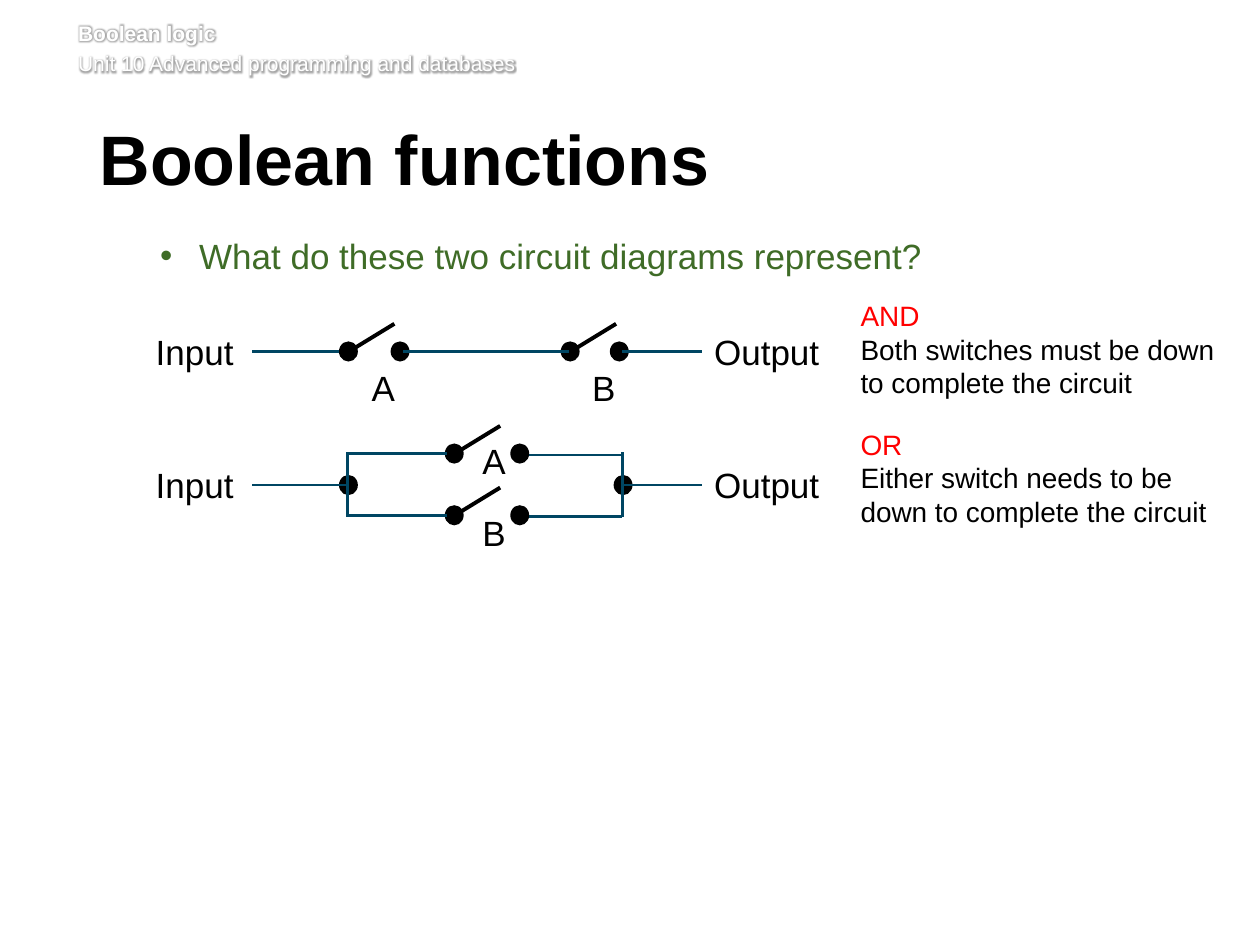
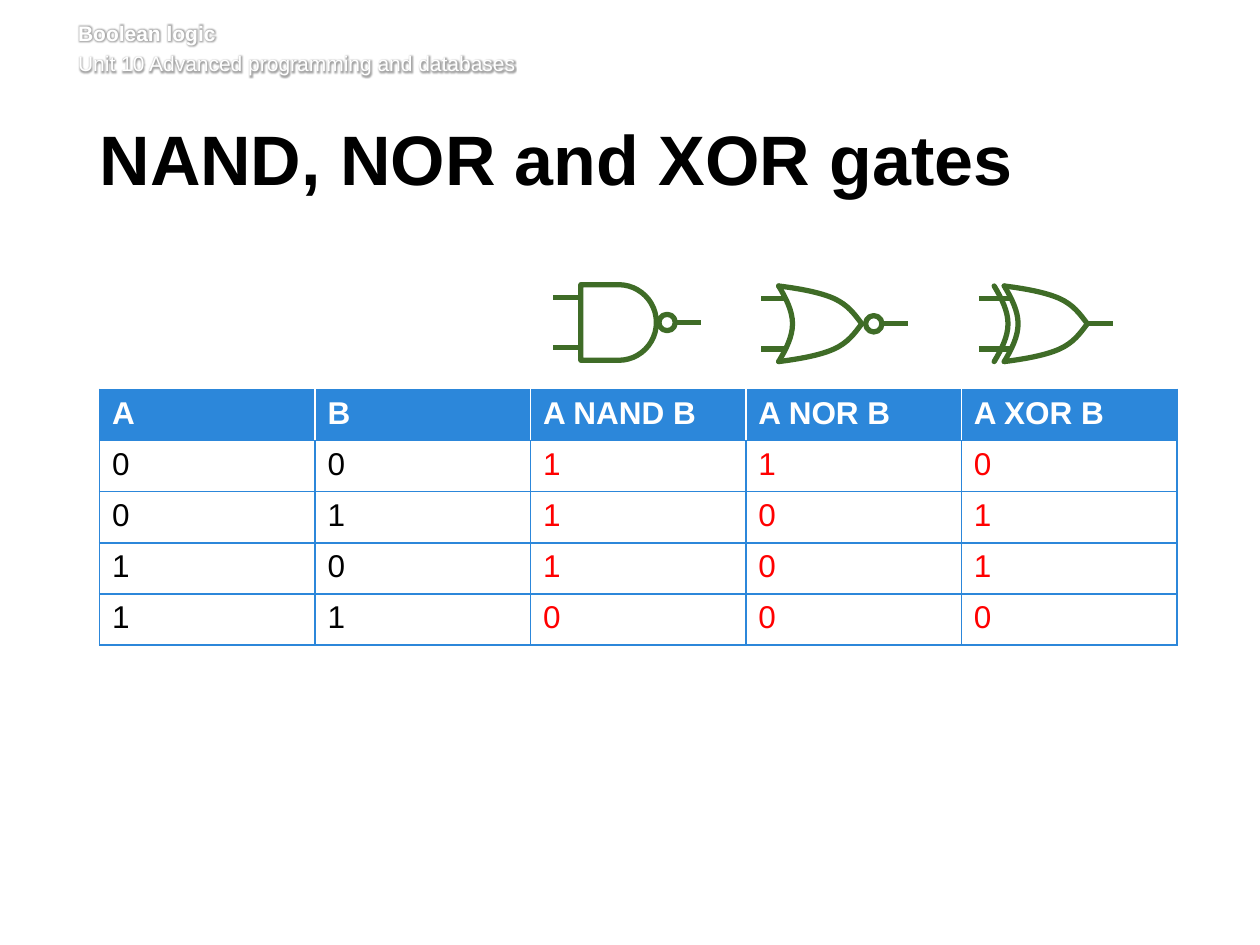
from lxml import etree
from pptx import Presentation
from pptx.dml.color import RGBColor
from pptx.enum.shapes import MSO_CONNECTOR, MSO_SHAPE
from pptx.enum.text import MSO_ANCHOR, MSO_AUTO_SIZE, PP_ALIGN
from pptx.oxml import parse_xml
from pptx.oxml.ns import nsdecls, qn
from pptx.util import Inches, Pt

FONT = "Arial"
BLACK = RGBColor(0x00, 0x00, 0x00)
WHITE = RGBColor(0xFF, 0xFF, 0xFF)
RED = RGBColor(0xFF, 0x00, 0x00)
GREEN = RGBColor(0x3F, 0x6C, 0x27)
WIRE = RGBColor(0x00, 0x46, 0x63)
BLUE = RGBColor(0x2C, 0x87, 0xDA)

TITLE_ONLY, TITLE_AND_CONTENT = 5, 1
GATE_MIDDLE = 2.57
GATE_FRONT = [(0, -0.3), (0.16, -0.28), (0.33, -0.25), (0.44, -0.2),
              (0.55, -0.15), (0.6, -0.08), (0.66, 0)]
GATE_BACK = [(0, -0.3), (0.06, -0.2), (0.11, -0.1), (0.11, 0),
             (0.11, 0.1), (0.06, 0.2), (0, 0.3)]
TRUTH_TABLE = [
    ["A", "B", "A NAND B", "A NOR B", "A XOR B"],
    ["0", "0", "1", "1", "0"],
    ["0", "1", "1", "0", "1"],
    ["1", "0", "1", "0", "1"],
    ["1", "1", "0", "0", "0"],
]


def place(shape, left, top, width, height):
    shape.left, shape.top = Inches(left), Inches(top)
    shape.width, shape.height = Inches(width), Inches(height)


def set_insets(frame, left, top, right, bottom):
    frame.margin_left, frame.margin_top = Inches(left), Inches(top)
    frame.margin_right, frame.margin_bottom = Inches(right), Inches(bottom)


def style_span(span, size, color, bold=False):
    span.font.name, span.font.size = FONT, Pt(size)
    span.font.bold, span.font.color.rgb = bold, color


def add_box(shapes, left, top, width, height):
    box = shapes.add_textbox(*map(Inches, (left, top, width, height)))
    box.text_frame.word_wrap = True
    return box


def add_glow(span):
    fill = span._r.get_or_add_rPr().find(qn("a:solidFill"))
    fill.addnext(parse_xml(
        f'<a:effectLst {nsdecls("a")}><a:glow rad="63500"><a:srgbClr val="{BLACK}">'
        '<a:alpha val="35000"/></a:srgbClr></a:glow></a:effectLst>'))


def add_master_header(deck, page):
    box = add_box(page.shapes, 0.62, 0.16, 8.82, 0.49)
    set_insets(box.text_frame, 0, 0, 0, 0.05)
    box.text_frame.text = "Boolean logic\nUnit 10 Advanced programming and databases"
    first, second = box.text_frame.paragraphs
    second.space_before = Pt(2.9)
    for para in (first, second):
        style_span(para.runs[0], 12, WHITE, bold=para is first)
        add_glow(para.runs[0])
    deck.slide_master.shapes._spTree.append(box._element)


def add_page(deck, layout, title):
    page = deck.slides.add_slide(deck.slide_layouts[layout])
    place(page.shapes.title, 0.79, 0.99, 8.55, 0.73)
    frame = page.shapes.title.text_frame
    frame.text = title
    frame.auto_size = MSO_AUTO_SIZE.NONE
    frame.vertical_anchor = MSO_ANCHOR.TOP
    set_insets(frame, 0, 0.05, 0.1, 0.05)
    para = frame.paragraphs[0]
    para.alignment, para.line_spacing = PP_ALIGN.LEFT, Pt(39)
    style_span(para.runs[0], 40, BLACK, bold=True)
    return page


def add_question(page, text):
    body = page.placeholders[1]
    place(body, 0.79, 1.86, 8.53, 3.78)
    frame = body.text_frame
    frame.text = text
    frame.auto_size = MSO_AUTO_SIZE.NONE
    set_insets(frame, 0, 0, 0.1, 0.05)
    para = frame.paragraphs[0]
    para.level = 1
    para.space_before, para.space_after = Pt(0), Pt(12)
    properties = para._p.get_or_add_pPr()
    properties.set("marL", str(Inches(0.79)))
    properties.set("indent", str(Inches(-0.31)))
    etree.SubElement(properties, qn("a:buFont")).set("typeface", FONT)
    etree.SubElement(properties, qn("a:buChar")).set("char", "•")
    style_span(para.runs[0], 20, GREEN)


def add_label(shapes, text, left, top, width):
    box = add_box(shapes, left, top, width, 0.44)
    box.text_frame.text = text
    box.text_frame.auto_size = MSO_AUTO_SIZE.SHAPE_TO_FIT_TEXT
    para = box.text_frame.paragraphs[0]
    para.alignment = PP_ALIGN.CENTER
    style_span(para.runs[0], 20, BLACK)


def add_answer(page, top, gate, reason):
    box = add_box(page.shapes, 6.83, top, 2.94, 0.81)
    set_insets(box.text_frame, 0, 0, 0, 0)
    para = box.text_frame.paragraphs[0]
    para.text = f"{gate}\v{reason}"
    for span, color in zip(para.runs, (RED, BLACK)):
        style_span(span, 16, color)


def add_line(shapes, start, end, color=WIRE, weight=1.5):
    line = shapes.add_connector(MSO_CONNECTOR.STRAIGHT, *map(Inches, (*start, *end)))
    line.line.color.rgb, line.line.width = color, Pt(weight)
    etree.SubElement(line._element.spPr, qn("a:effectLst"))


def add_dot(shapes, x, y):
    dot = shapes.add_shape(MSO_SHAPE.OVAL, *map(Inches, (x - 0.07, y - 0.08, 0.15, 0.16)))
    dot.shadow.inherit = False
    dot.fill.solid()
    dot.fill.fore_color.rgb = BLACK
    dot.line.fill.background()


def add_switch(shapes, name, left, right, y, label_left, label_top):
    add_dot(shapes, left, y)
    add_dot(shapes, right, y)
    add_line(shapes, (left + 0.01, y), (left + 0.37, y - 0.22), BLACK, 2.25)
    add_label(shapes, name, label_left, label_top, 0.28)


def add_terminals(shapes, top):
    add_label(shapes, "Input", 0.99, top, 1.11)
    add_label(shapes, "Output", 5.53, top, 1.11)


def add_series_circuit(page):
    shapes = page.shapes.add_group_shape().shapes
    y = 2.79
    add_terminals(shapes, 2.57)
    add_switch(shapes, "A", 2.76, 3.17, y, 2.85, 2.86)
    add_switch(shapes, "B", 4.52, 4.91, y, 4.6, 2.86)
    for start, end in ((2, 2.69), (3.2, 4.52), (4.94, 5.57)):
        add_line(shapes, (start, y), (end, y))


def add_parallel_circuit(page):
    shapes = page.shapes.add_group_shape().shapes
    fork, join, middle, upper, lower = 2.76, 4.94, 3.85, 3.6, 4.09
    add_terminals(shapes, 3.63)
    for node, end in ((fork, 2), (join, 5.57)):
        add_dot(shapes, node, middle)
        add_line(shapes, (end, middle), (node, middle))
        add_line(shapes, (node, upper - 0.01), (node, lower + 0.01))
    for name, y, label_top in (("A", upper, 3.44), ("B", lower, 4.01)):
        add_line(shapes, (4.16, y + 0.01), (join, y + 0.01))
        add_switch(shapes, name, 3.6, 4.12, y, 3.73, label_top)
        add_line(shapes, (fork, y), (3.55, y))


def outline(shape):
    shape.shadow.inherit = False
    shape.fill.background()
    shape.line.color.rgb, shape.line.width = GREEN, Pt(3)
    stroke = shape.line._get_or_add_ln()
    stroke.set("cap", "rnd")
    etree.SubElement(stroke, qn("a:round"))


def bend(shape):
    segments = list(shape._element.iter(qn("a:lnTo")))
    for first in range(0, len(segments), 3):
        curve = etree.Element(qn("a:cubicBezTo"))
        segments[first].addprevious(curve)
        for segment in segments[first:first + 3]:
            curve.append(segment[0])
            segment.getparent().remove(segment)


def add_curve(shapes, controls, left, flip=1):
    points = [(Inches(left + x), Inches(GATE_MIDDLE + flip * y)) for x, y in controls]
    builder = shapes.build_freeform(*points[0])
    builder.add_line_segments(points[1:], close=False)
    shape = builder.convert_to_shape()
    bend(shape)
    outline(shape)


def add_gate_shape(shapes, kind, left, size, middle):
    outline(shapes.add_shape(kind, *map(Inches, (left, middle - size / 2, size, size))))


def add_leads(shapes, left, inner, output, middle=GATE_MIDDLE):
    for y in (middle - 0.2, middle + 0.2):
        add_line(shapes, (left, y), (inner, y), GREEN, 3)
    add_line(shapes, (output, middle), (output + 0.2, middle), GREEN, 3)


def add_or_body(shapes, left):
    for flip in (1, -1):
        add_curve(shapes, GATE_FRONT, left, flip)
    add_curve(shapes, GATE_BACK, left)


def add_nand_gate(page):
    shapes = page.shapes.add_group_shape().shapes
    add_leads(shapes, 4.39, 4.6, 5.36, 2.56)
    add_gate_shape(shapes, MSO_SHAPE.FLOWCHART_DELAY, 4.61, 0.6, 2.56)
    add_gate_shape(shapes, MSO_SHAPE.OVAL, 5.23, 0.13, 2.56)


def add_nor_gate(page):
    shapes = page.shapes.add_group_shape().shapes
    add_leads(shapes, 6.04, 6.24, 7.01)
    add_or_body(shapes, 6.18)
    add_gate_shape(shapes, MSO_SHAPE.OVAL, 6.87, 0.13, GATE_MIDDLE)


def add_xor_gate(page):
    shapes = page.shapes.add_group_shape().shapes
    add_leads(shapes, 7.77, 8.03, 8.63)
    add_or_body(shapes, 7.97)
    add_curve(shapes, GATE_BACK, 7.89)


def set_borders(cell, left, right):
    properties = cell._tc.get_or_add_tcPr()
    sides = (("lnL", left), ("lnR", right), ("lnT", BLUE), ("lnB", BLUE))
    for position, (side, color) in enumerate(sides):
        properties.insert(position, parse_xml(
            f'<a:{side} {nsdecls("a")} w="12700"><a:solidFill>'
            f'<a:srgbClr val="{color}"/></a:solidFill></a:{side}>'))


def add_truth_table(page):
    rows, columns = len(TRUTH_TABLE), len(TRUTH_TABLE[0])
    frame = page.shapes.add_table(rows, columns, *map(Inches, (0.79, 3.09, 8.55, 2.03)))
    table = frame.table
    table.horz_banding = False
    for r, values in enumerate(TRUTH_TABLE):
        for c, value in enumerate(values):
            cell = table.cell(r, c)
            cell.text = value
            header = r == 0
            color = WHITE if header else BLACK if c < 2 else RED
            style_span(cell.text_frame.paragraphs[0].runs[0], 18, color, bold=header)
            if header:
                cell.fill.solid()
                cell.fill.fore_color.rgb = BLUE
            else:
                cell.fill.background()
            inner = WHITE if header else BLUE
            set_borders(cell, inner if c > 0 else BLUE, inner if c < columns - 1 else BLUE)


def main():
    deck = Presentation()
    deck.slide_width, deck.slide_height = Inches(10), Inches(7.5)

    circuits = add_page(deck, TITLE_AND_CONTENT, "Boolean functions")
    add_master_header(deck, circuits)
    add_question(circuits, "What do these two circuit diagrams represent?")
    add_parallel_circuit(circuits)
    add_series_circuit(circuits)
    add_answer(circuits, 2.37, "AND", "Both switches must be down to complete the circuit")
    add_answer(circuits, 3.39, "OR", "Either switch needs to be down to complete the circuit")

    gates = add_page(deck, TITLE_ONLY, "NAND, NOR and XOR gates")
    add_truth_table(gates)
    add_xor_gate(gates)
    add_nand_gate(gates)
    add_nor_gate(gates)

    deck.save("out.pptx")


if __name__ == "__main__":
    main()
